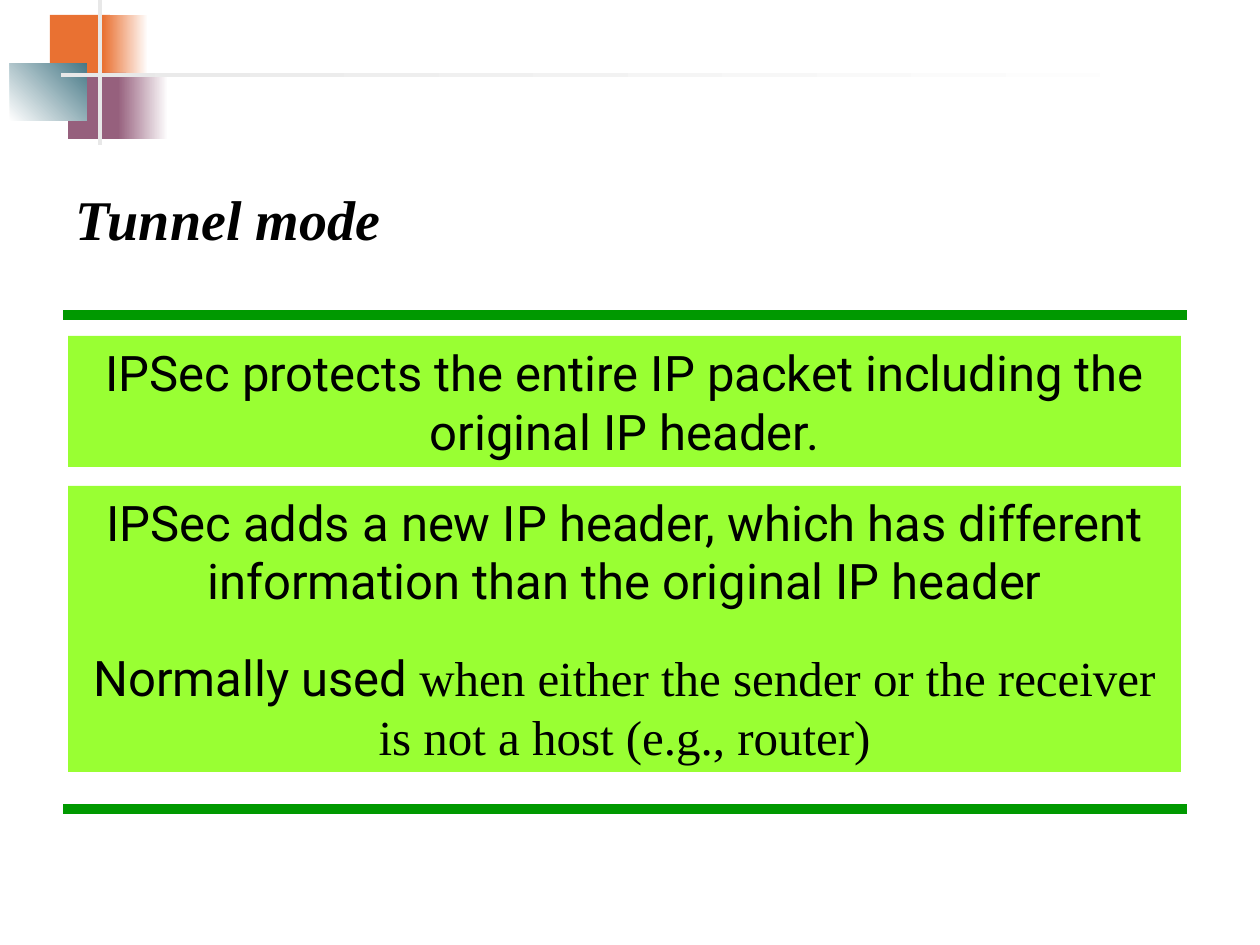
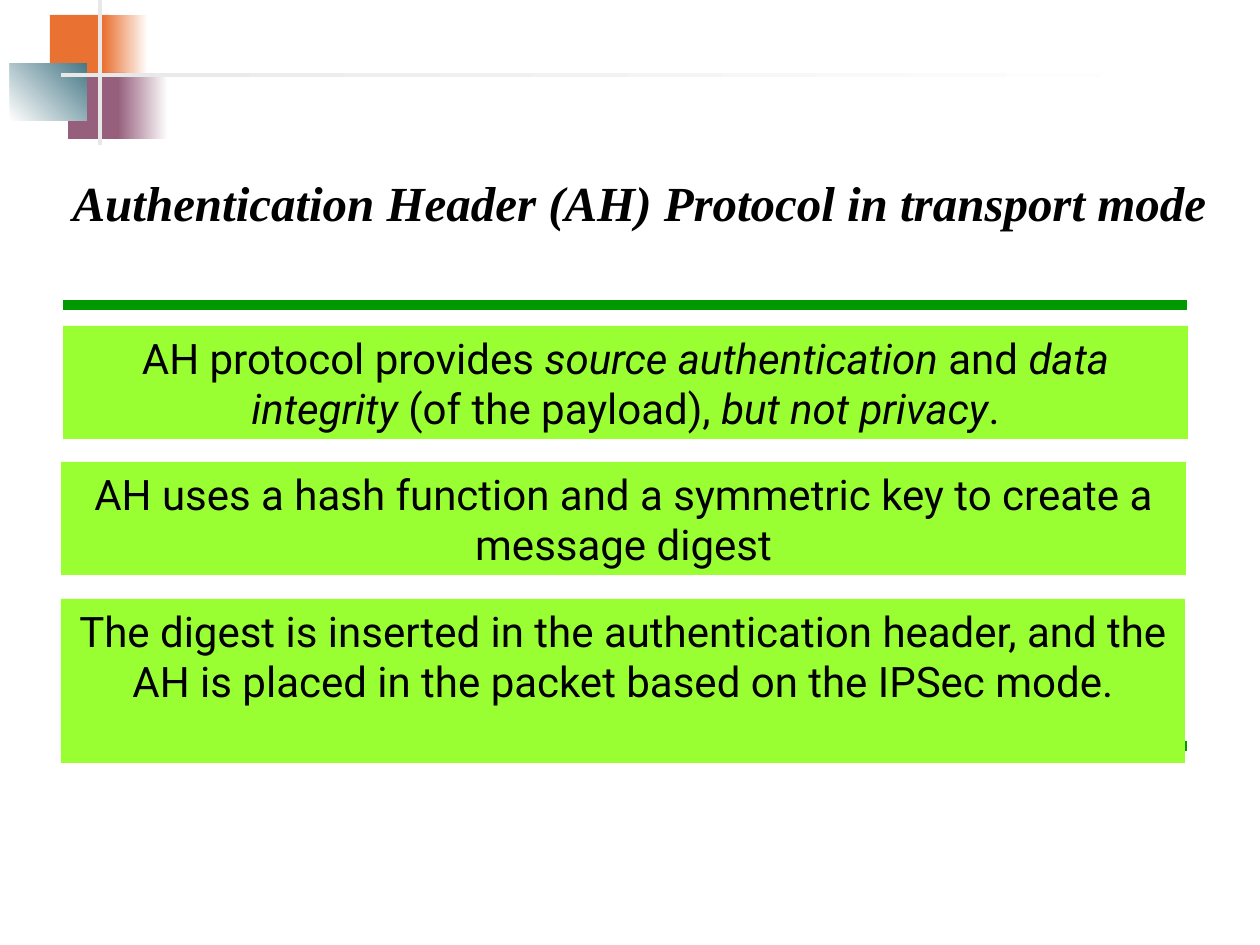
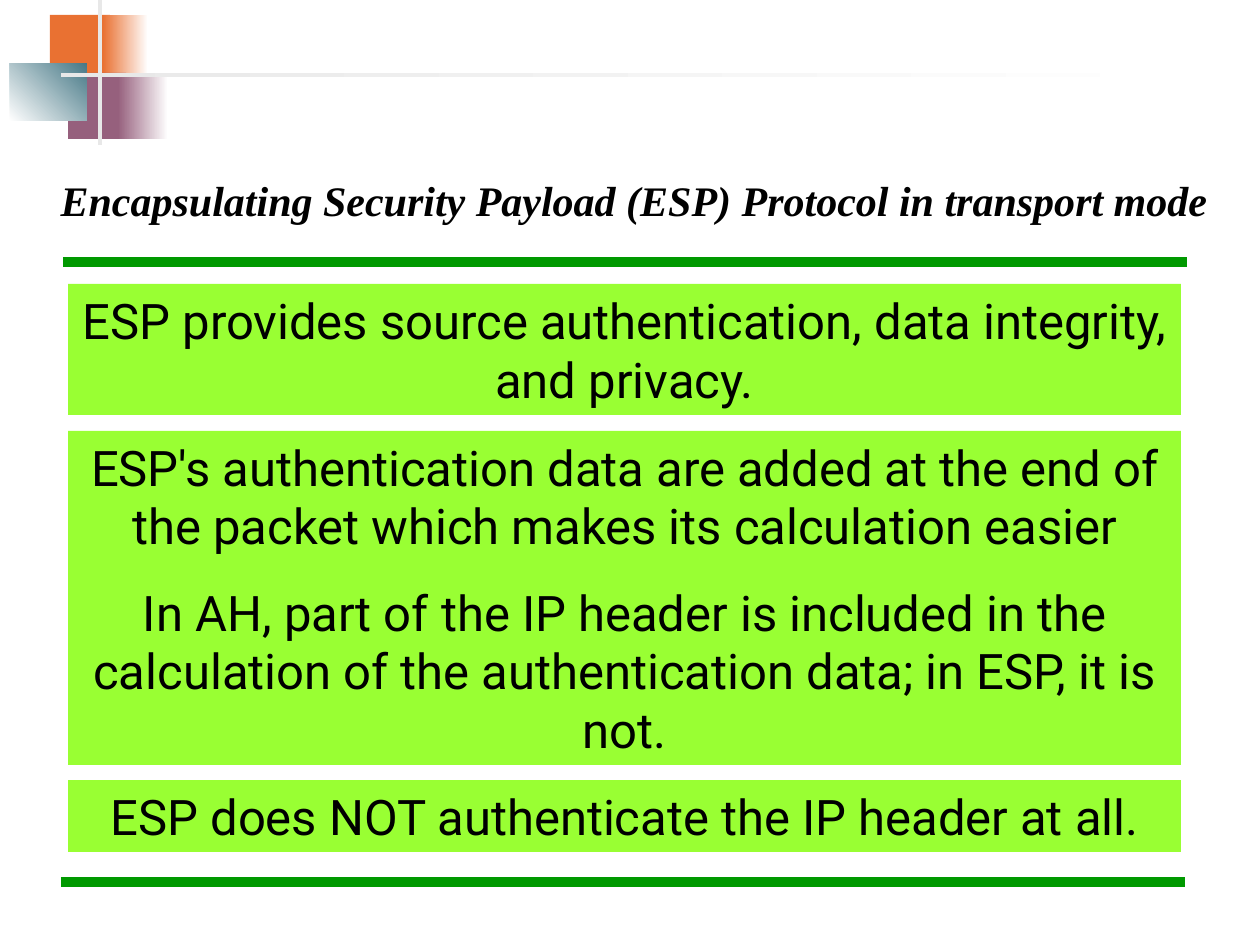
"""Build three slides on IPSec modes and protocols."""
from dataclasses import dataclass

from lxml import etree
from pptx import Presentation
from pptx import util as u
from pptx.dml.color import RGBColor
from pptx.enum import shapes, text
from pptx.oxml import ns


@dataclass(frozen=True)
class Theme:
    ink: str = "000000"
    paper: str = "FFFFFF"
    rule: str = "009900"
    panel: str = "99FF33"
    orange: str = "E97132"
    plum: str = "96607D"
    teal: str = "467886"
    grey: str = "E8E8E8"
    sans: str = "Roboto"
    serif: str = "Times New Roman"
    large: int = 32
    medium: int = 28
    small: int = 24
    rule_width: int = 6


theme = Theme()
PX = 914400 / 126


def px(*lengths):
    return [u.Emu(round(length * PX)) for length in lengths]


def add_block(page, bounds, colors, angle=0):
    block = page.shapes.add_shape(shapes.MSO_SHAPE.RECTANGLE, *px(*bounds))
    block.shadow.inherit = False
    block.line.fill.background()
    if len(colors) == 1:
        block.fill.solid()
        block.fill.fore_color.rgb = RGBColor.from_string(colors[0])
    else:
        block.fill.gradient()
        block.fill.gradient_angle = angle
        for stop, color in zip(block.fill.gradient_stops, colors):
            stop.color.rgb = RGBColor.from_string(color)
    return block


ornaments = [
    ((50, 15, 60, 66), [theme.orange], 0),
    ((103, 15, 45, 66), [theme.orange, theme.paper], 0),
    ((68, 73, 58, 66), [theme.plum], 0),
    ((118, 73, 50, 66), [theme.plum, theme.paper], 0),
    ((10, 63, 77, 58), [theme.paper, theme.teal], 45),
    ((98, 0, 4, 145), [theme.grey], 0),
    ((61, 73, 1134, 4), [theme.grey, theme.paper], 0),
]

slides = [
    {
        "title": ("Tunnel mode", theme.large, (63, 178, 1124, 81)),
        "rules": [(63, 315), (63, 809)],
        "size": theme.medium,
        "panels": [
            ((68, 336, 1113, 131),
             [("IPSec protects the entire IP packet including the original IP header.", "")]),
            ((68, 486, 1113, 189),
             [("IPSec adds a new IP header, which has different information "
               "than the original IP header", "")]),
            ((68, 641, 1113, 131),
             [("Normally used ", ""),
              ("when either the sender or the receiver is not a host (e.g., router)", "serif")]),
        ],
    },
    {
        "title": ("Authentication Header (AH) Protocol in transport mode",
                  theme.medium, (60, 166, 1160, 72)),
        "rules": [(63, 305), (63, 746)],
        "size": theme.small,
        "panels": [
            ((63, 326, 1125, 113),
             [("AH protocol provides ", ""), ("source authentication ", "italic"),
              ("and ", ""), ("data integrity", "italic"), (" (of the payload), ", ""),
              ("but not privacy", "italic"), (".", "")]),
            ((61, 462, 1125, 113),
             [("AH uses a hash function and a symmetric key to create a message digest", "")]),
            ((61, 599, 1124, 164),
             [("The digest is inserted in the authentication header, and the AH is placed "
               "in the packet based on the IPSec mode.", "")]),
        ],
    },
    {
        "title": ("Encapsulating Security Payload (ESP) Protocol in transport mode",
                  theme.small, (48, 168, 1180, 63)),
        "rules": [(63, 262), (61, 882)],
        "size": theme.medium,
        "panels": [
            ((68, 284, 1113, 131),
             [("ESP provides source authentication, data integrity, and privacy.", "")]),
            ((68, 431, 1113, 189),
             [("ESP's authentication data are added at the end of the packet "
               "which makes its calculation easier", "")]),
            ((68, 576, 1113, 189),
             [("In AH, part of the IP header is included in the calculation of the "
               "authentication data; in ESP, it is not.", "")]),
            ((68, 780, 1113, 72),
             [("ESP does NOT authenticate the IP header at all.", "")]),
        ],
    },
]

deck = Presentation()
deck.slide_width, deck.slide_height = px(1260, 945)

for content in slides:
    page = deck.slides.add_slide(deck.slide_layouts[5])
    for bounds, colors, angle in ornaments:
        add_block(page, bounds, colors, angle)

    for left, top in content["rules"]:
        rule = page.shapes.add_connector(
            shapes.MSO_CONNECTOR.STRAIGHT, *px(left, top, left + 1124, top))
        rule.line.color.rgb = RGBColor.from_string(theme.rule)
        rule.line.width = u.Pt(theme.rule_width)
        etree.SubElement(rule._element.spPr, ns.qn("a:effectLst"))

    heading, heading_size, bounds = content["title"]
    title = page.shapes.title
    title.left, title.top, title.width, title.height = px(*bounds)
    frame = title.text_frame
    frame.text = heading
    frame.word_wrap = True
    frame.auto_size = text.MSO_AUTO_SIZE.NONE
    frame.vertical_anchor = text.MSO_ANCHOR.TOP
    para = frame.paragraphs[0]
    para.alignment = text.PP_ALIGN.LEFT
    para.font.name = theme.serif
    para.font.size = u.Pt(heading_size)
    para.font.bold = para.font.italic = True
    para.font.color.rgb = RGBColor.from_string(theme.ink)

    for bounds, spans in content["panels"]:
        panel = add_block(page, bounds, [theme.panel])
        frame = panel.text_frame
        frame.word_wrap = True
        frame.vertical_anchor = text.MSO_ANCHOR.TOP
        para = frame.paragraphs[0]
        para.alignment = text.PP_ALIGN.CENTER
        para.font.name = theme.sans
        para.font.size = u.Pt(content["size"])
        para.font.color.rgb = RGBColor.from_string(theme.ink)
        for words, style in spans:
            span = para.add_run()
            span.text = words
            if style == "italic":
                span.font.italic = True
            elif style == "serif":
                span.font.name = theme.serif

deck.save("out.pptx")
